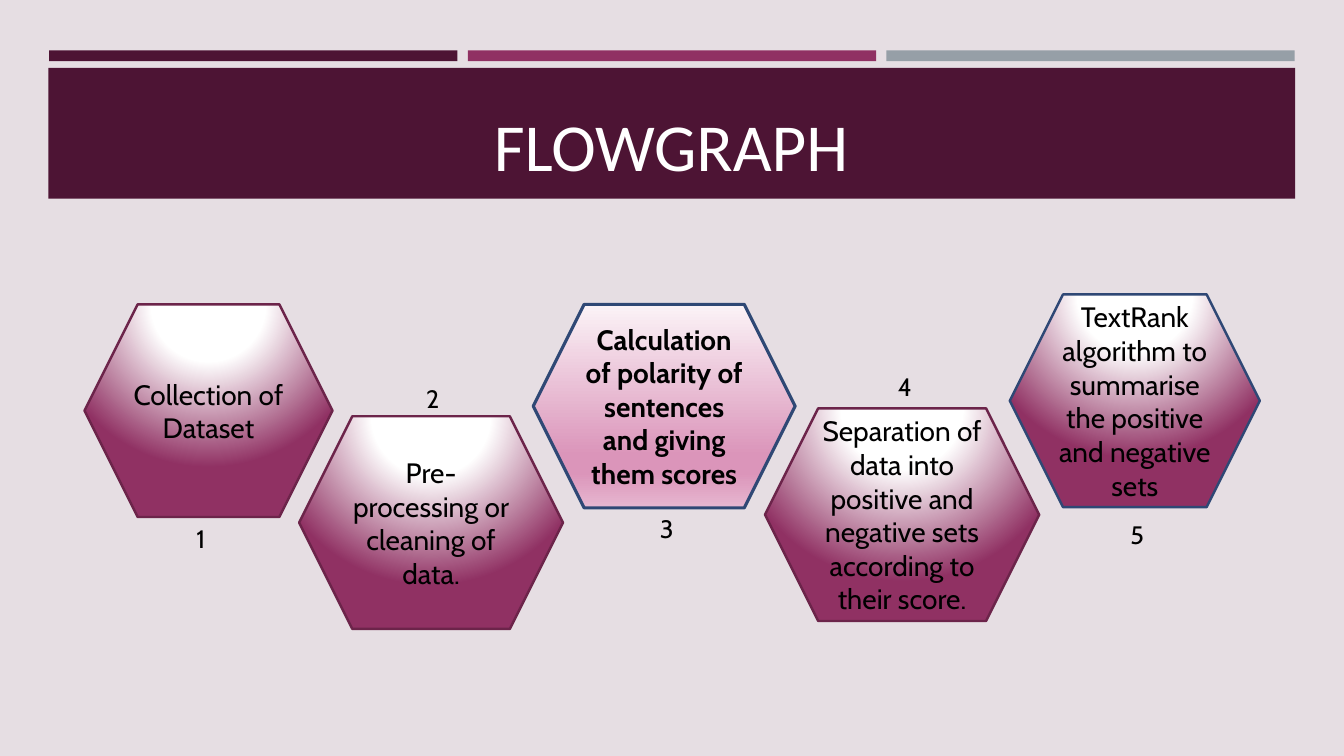
from dataclasses import dataclass

from pptx import Presentation
from pptx.dml.color import RGBColor
from pptx.enum import shapes, text
from pptx.oxml import parse_xml
from pptx.oxml.ns import nsdecls
from pptx.util import Cm, Pt

HUES = {
    "back": "E6DEE3", "wine": "4D1434", "plum": "903163", "grey": "969FA7",
    "edge": "6C244A", "navy": "2F4875", "white": "FFFFFF", "black": "000000",
    "pale": "FBF3F7", "pink": "DB95BA", "rose": "E7B8D1",
}
GLOW = ([(0, "white"), (35, "white"), (100, "plum")],
        '<a:path path="circle"><a:fillToRect l="50000" t="-80000" '
        'r="50000" b="180000"/></a:path>')
BLUSH = ([(0, "pale"), (74, "pink"), (83, "pink"), (100, "rose")],
         '<a:lin ang="5400000" scaled="0"/>')


@dataclass
class Step:
    words: str
    left: float
    top: float
    width: float
    mark: tuple[float, float]
    height: float = 5.36
    edge: str = "edge"
    key: bool = False


STEPS = [
    Step("Collection of Dataset", 2.13, 7.67, 6.25, (4.7, 13.06)),
    Step("Pre-processing or cleaning of data.", 7.54, 10.49, 6.65, (10.49, 9.53)),
    Step("Calculation of polarity of sentences and giving them scores",
         13.44, 7.67, 6.6, (16.38, 12.8), 5.13, "navy", True),
    Step("Separation of data into positive and negative sets according to "
         "their score.", 19.28, 10.29, 6.91, (22.38, 9.22)),
    Step("TextRank algorithm to summarise the positive and negative sets",
         25.45, 7.42, 6.3, (28.24, 12.95), edge="navy"),
]


def hue(name: str) -> RGBColor:
    return RGBColor.from_string(HUES[name])


def write(shape, words: str, size: int, font: str = "Cabin",
          tint: str = "black", bold: bool = False, mid: bool = True) -> None:
    frame = shape.text_frame
    frame.word_wrap = True
    para = frame.paragraphs[0]
    para.text = words
    para.alignment = text.PP_ALIGN.CENTER if mid else text.PP_ALIGN.LEFT
    para.font.size, para.font.name, para.font.bold = Pt(size), font, bold
    para.font.color.rgb = hue(tint)


def block(slide, tint: str, *box: float) -> None:
    """Draw a plain filled rectangle."""
    rect = slide.shapes.add_shape(shapes.MSO_SHAPE.RECTANGLE, *map(Cm, box))
    rect.shadow.inherit = False
    rect.fill.solid()
    rect.fill.fore_color.rgb = hue(tint)
    rect.line.fill.background()


def shade(shape, stops: list[tuple[int, str]], way: str) -> None:
    """Fill a shape with a gradient running the given way."""
    marks = "".join(f'<a:gs pos="{pos * 1000}"><a:srgbClr val="{HUES[name]}"/></a:gs>'
                    for pos, name in stops)
    grad = parse_xml(f'<a:gradFill {nsdecls("a")} rotWithShape="1">'
                     f'<a:gsLst>{marks}</a:gsLst>{way}</a:gradFill>')
    shape._element.spPr.find("{*}prstGeom").addnext(grad)


def draw(slide, step: Step) -> None:
    cell = slide.shapes.add_shape(
        shapes.MSO_SHAPE.HEXAGON, Cm(step.left), Cm(step.top),
        Cm(step.width), Cm(step.height))
    cell.shadow.inherit = False
    shade(cell, *(BLUSH if step.key else GLOW))
    cell.line.color.rgb = hue(step.edge)
    cell.line.width = Pt(2.25 if step.key else 1.75)
    cell.text_frame.vertical_anchor = text.MSO_ANCHOR.MIDDLE
    write(cell, step.words, 20, bold=step.key)


def label(slide, step: Step, num: int) -> None:
    left, top = step.mark
    box = slide.shapes.add_textbox(Cm(left), Cm(top), Cm(1.85), Cm(1.02))
    write(box, str(num), 18, mid=False)
    box.text_frame.auto_size = text.MSO_AUTO_SIZE.SHAPE_TO_FIT_TEXT


def main() -> None:
    deck = Presentation()
    deck.slide_width, deck.slide_height = Cm(33.87), Cm(19.05)
    slide = deck.slides.add_slide(deck.slide_layouts[6])
    slide.background.fill.solid()
    slide.background.fill.fore_color.rgb = hue("back")

    for col, tint in enumerate(("wine", "plum", "grey")):
        block(slide, tint, 1.24 + col * 10.55, 1.27, 10.29, 0.27)
    block(slide, "wine", 1.22, 1.71, 31.42, 3.3)
    title = slide.shapes.add_textbox(Cm(1.6), Cm(1.96), Cm(30.63), Cm(2.82))
    title.text_frame.vertical_anchor = text.MSO_ANCHOR.BOTTOM
    write(title, "FLOWGRAPH", 48, "Calibri", "white")

    for step in STEPS:
        draw(slide, step)
    for num, step in enumerate(STEPS, 1):
        label(slide, step, num)
    deck.save("out.pptx")


if __name__ == "__main__":
    main()
